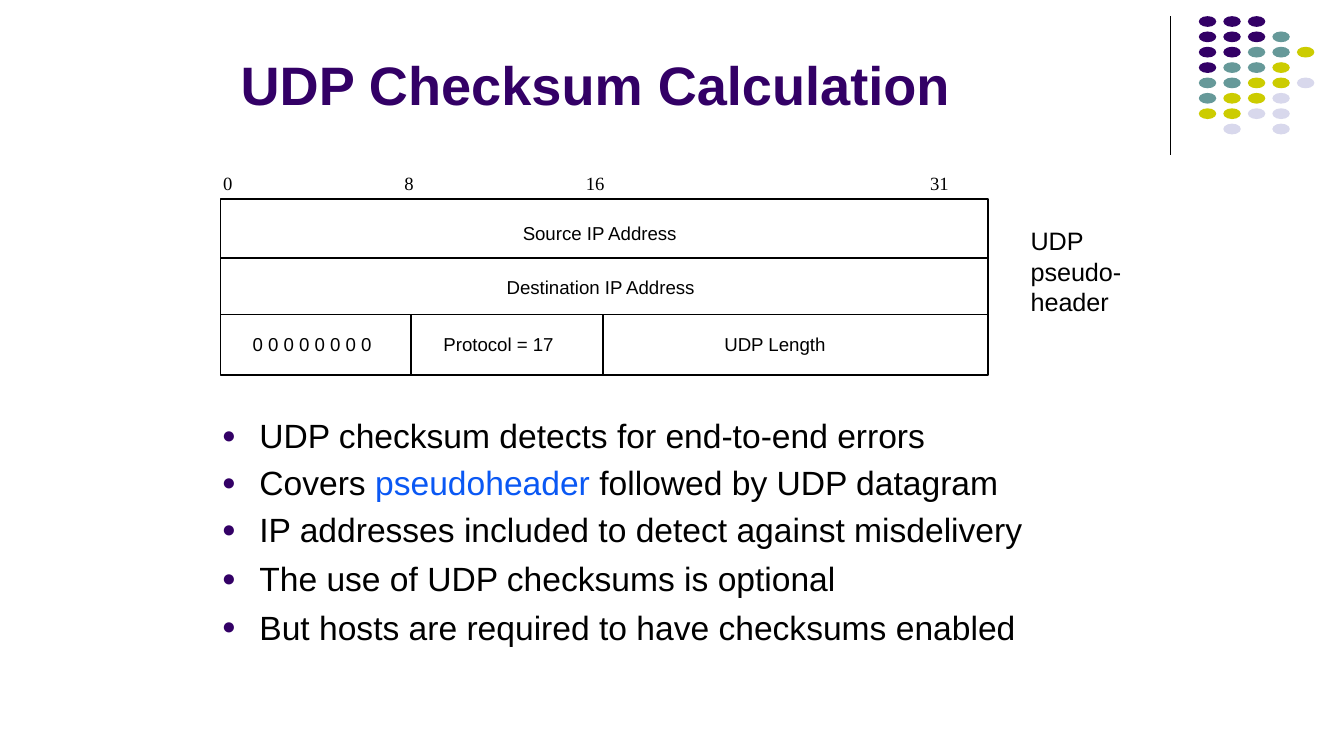
from dataclasses import dataclass

from lxml.etree import SubElement
from pptx import Presentation
from pptx.dml.color import RGBColor as RGB
from pptx.enum.shapes import MSO_CONNECTOR as Connector, MSO_SHAPE as Shape
from pptx.enum.text import MSO_ANCHOR as Anchor
from pptx.oxml.ns import qn
from pptx.util import Inches, Pt


@dataclass(frozen=True)
class Theme:
    sans: str = "Arial"
    serif: str = "Times New Roman"
    black: str = "000000"
    purple: str = "330066"
    teal: str = "669999"
    lime: str = "CCCC00"
    lavender: str = "D8D8EC"
    blue: str = "0A58F4"
    title_size: float = 29
    body_size: float = 18
    side_size: float = 13.5
    field_size: float = 10


THEME = Theme()

DOT_COLORS = {"P": THEME.purple, "T": THEME.teal, "L": THEME.lime, "V": THEME.lavender}
DOT_ROWS = ["PPP", "PPPT", "PPTTL", "PTTL", "TTLLV", "TLLV", "LLVV", ".V.V"]

# Space before in points, then the spans of each bullet
BULLETS = [
    (0, [("UDP checksum detects for end-to-end errors", THEME.black)]),
    (3.6, [("Covers ", THEME.black), ("pseudoheader", THEME.blue),
           (" followed by UDP datagram", THEME.black)]),
    (3.6, [("IP addresses included to detect against misdelivery", THEME.black)]),
    (4.4, [("The use of UDP checksums is optional", THEME.black)]),
    (4.4, [("But hosts are required to have checksums enabled", THEME.black)]),
]

BIT_LABELS = [("0", 1.66), ("8", 3.01), ("16", 4.36), ("31", 6.92)]
FIELDS = [
    ("Source IP Address", 3.89, 1.65, 1.23),
    ("Destination IP Address", 3.77, 2.05, 1.5),
    ("0 0 0 0 0 0 0 0", 1.88, 2.48, 0.9),
    ("Protocol = 17", 3.3, 2.48, 0.9),
    ("UDP Length", 5.39, 2.48, 0.9),
]


def add_span(para, text, size, color=THEME.black, font=THEME.sans, bold=False):
    span = para.add_run()
    span.text = text
    span.font.name = font
    span.font.size = Pt(size)
    span.font.bold = bold
    span.font.color.rgb = RGB.from_string(color)


def add_box(page, left, top, width, height, inset_x=0, inset_y=0, wrap=True):
    """Add an empty text box and return its text frame."""
    frame = page.shapes.add_textbox(
        Inches(left), Inches(top), Inches(width), Inches(height)).text_frame
    frame.word_wrap = wrap
    frame.margin_left = frame.margin_right = Inches(inset_x)
    frame.margin_top = frame.margin_bottom = Inches(inset_y)
    return frame


def add_label(page, text, left, top, width, font=THEME.sans):
    frame = add_box(page, left, top, width, 0.18, wrap=False)
    add_span(frame.paragraphs[0], text, THEME.field_size, font=font)


def add_line(page, x1, y1, x2, y2, weight=1):
    line = page.shapes.add_connector(
        Connector.STRAIGHT, Inches(x1), Inches(y1), Inches(x2), Inches(y2))
    line.line.color.rgb = RGB.from_string(THEME.black)
    line.line.width = Pt(weight)
    SubElement(line._element.spPr, qn("a:effectLst"))


def add_dot_grid(page):
    pitch_x, pitch_y = 0.73 / 4, 0.8 / 7
    for row, codes in enumerate(DOT_ROWS):
        for column, code in enumerate(codes):
            if code not in DOT_COLORS:
                continue
            dot = page.shapes.add_shape(
                Shape.OVAL, Inches(8.92 + pitch_x * column),
                Inches(0.12 + pitch_y * row), Inches(0.13), Inches(0.08))
            dot.shadow.inherit = False
            dot.fill.solid()
            dot.fill.fore_color.rgb = RGB.from_string(DOT_COLORS[code])
            dot.line.fill.background()


def add_title(page, text):
    frame = add_box(page, 1.72, 0.31, 5.85, 0.63, 0.07, 0.04)
    frame.vertical_anchor = Anchor.MIDDLE
    add_span(frame.paragraphs[0], text, THEME.title_size, THEME.purple, bold=True)


def add_header_diagram(page):
    left, top, right, bottom = 1.64, 1.48, 7.35, 2.79
    frame = page.shapes.add_shape(
        Shape.RECTANGLE, Inches(left), Inches(top),
        Inches(right - left), Inches(bottom - top))
    frame.shadow.inherit = False
    frame.fill.background()
    frame.line.color.rgb = RGB.from_string(THEME.black)
    frame.line.width = Pt(1)
    row_edges = (1.92, 2.34)
    for y in row_edges:
        add_line(page, left, y, right, y)
    for x in (3.06, 4.49):
        add_line(page, x, row_edges[-1], x, bottom)
    for text, x, y, width in FIELDS:
        add_label(page, text, x, y, width)
    for text, x in BIT_LABELS:
        add_label(page, text, x, 1.28, 0.2, THEME.serif)


def set_bullet(para):
    properties = para._p.get_or_add_pPr()
    properties.set("marL", str(Inches(0.28)))
    properties.set("indent", str(Inches(-0.28)))
    color = SubElement(properties, qn("a:buClr"))
    SubElement(color, qn("a:srgbClr"), val=THEME.purple)
    SubElement(properties, qn("a:buSzPct"), val="70000")
    SubElement(properties, qn("a:buFont"), typeface=THEME.sans)
    SubElement(properties, qn("a:buChar"), char="●")


def add_bullets(page):
    frame = add_box(page, 1.57, 3.05, 6.38, 1.91, 0.08, 0.04)
    for index, (space, spans) in enumerate(BULLETS):
        para = frame.add_paragraph() if index else frame.paragraphs[0]
        set_bullet(para)
        if space:
            para.space_before = Pt(space)
        for text, color in spans:
            add_span(para, text, THEME.body_size, color)


def add_side_note(page, text):
    frame = add_box(page, 7.57, 1.63, 1.18, 0.78, 0.1, 0.05)
    add_span(frame.paragraphs[0], text, THEME.side_size)


def main():
    deck = Presentation()
    deck.slide_width = Inches(10)
    deck.slide_height = Inches(10 * 9 / 16)
    page = deck.slides.add_slide(deck.slide_layouts[6])
    add_line(page, 8.71, 0.12, 8.71, 1.15, 0.75)
    add_dot_grid(page)
    add_title(page, "UDP Checksum Calculation")
    add_bullets(page)
    add_header_diagram(page)
    add_side_note(page, "UDP pseudo-header")
    deck.save("out.pptx")


if __name__ == "__main__":
    main()
